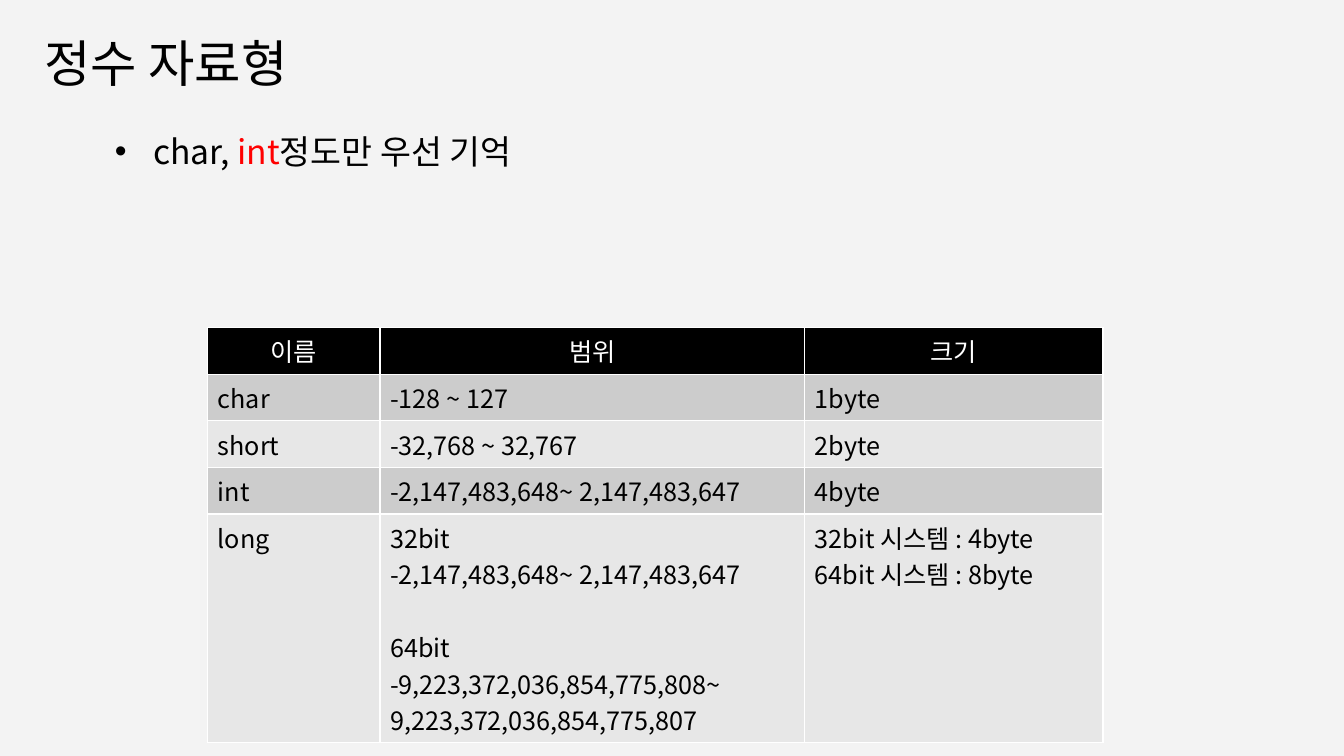
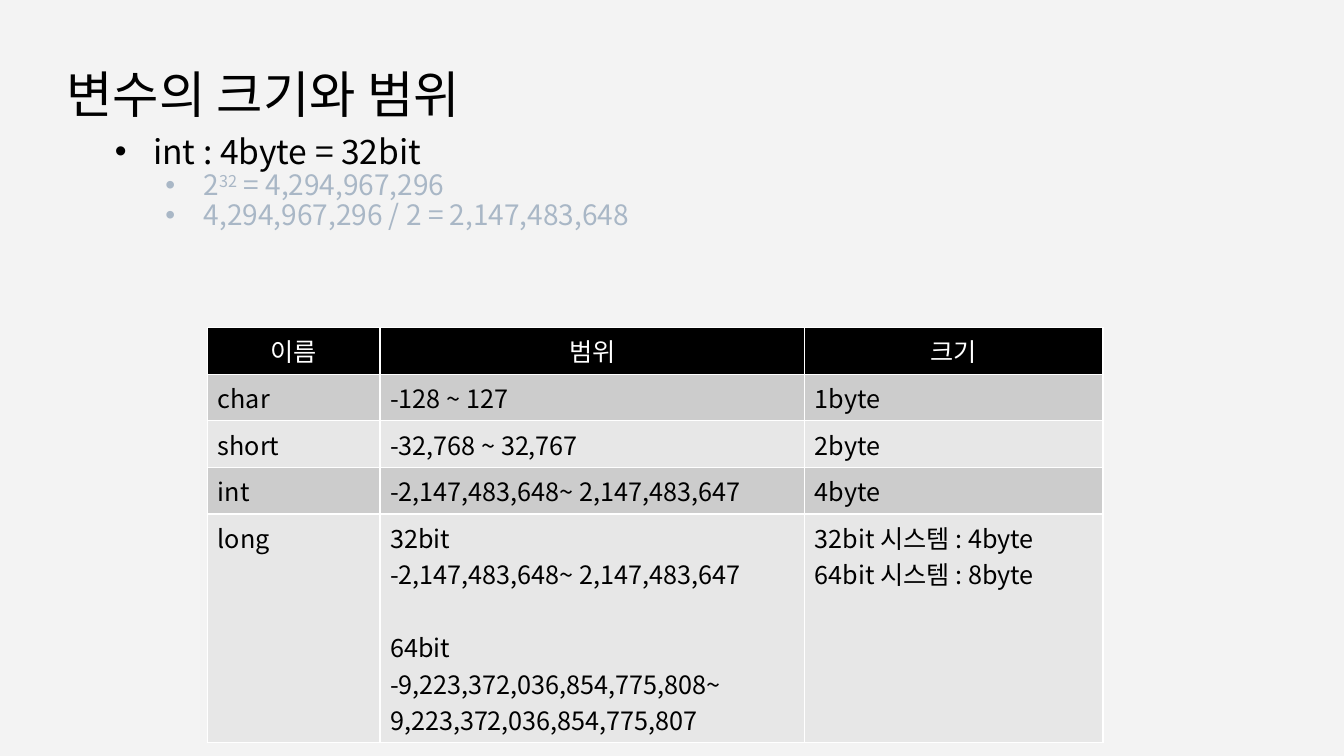
from dataclasses import dataclass

import pptx
import pptx.dml.color
import pptx.enum.text
import pptx.oxml
import pptx.oxml.ns
import pptx.util
from pptx.util import Inches

ALIGN = pptx.enum.text.PP_ALIGN
ANCHOR = pptx.enum.text.MSO_ANCHOR


@dataclass(frozen=True)
class Theme:
    font: str = "Noto Sans CJK KR"
    background: str = "F3F3F3"
    ink: str = "000000"
    accent: str = "FF0000"
    muted: str = "A9B7C6"
    white: str = "FFFFFF"
    bands: tuple = ("CCCCCC", "E7E7E7")
    title_size: int = 36
    bullet_sizes: tuple = (24, 20)
    table_size: int = 18
    table_line: int = 26
    border: int = 1


@dataclass(frozen=True)
class Span:
    """A piece of text that departs from the format of its paragraph."""
    text: str
    color: str = ""
    superscript: bool = False


@dataclass(frozen=True)
class Bullet:
    spans: tuple
    level: int = 0


THEME = Theme()
INT_RANGE = "-2,147,483,648~ 2,147,483,647"
LONG_RANGE = "-9,223,372,036,854,775,808~\n9,223,372,036,854,775,807"
TYPE_HEADER = ("이름", "범위", "크기")
# Each cell is a list of groups, set apart by a gap; each group is a list of lines.
TYPE_ROWS = (
    ([["char"]], [["-128 ~ 127"]], [["1byte"]]),
    ([["short"]], [["-32,768 ~ 32,767"]], [["2byte"]]),
    ([["int"]], [[INT_RANGE]], [["4byte"]]),
    ([["long"]],
     [["32bit", INT_RANGE], ["64bit", LONG_RANGE]],
     [["32bit 시스템 : 4byte", "64bit 시스템 : 8byte"]]),
)
COLUMN_WIDTHS = (1.71, 4.21, 2.96)
ROW_HEIGHTS = (0.46, 0.46, 0.46, 0.46, 2.27)


def rgb(value):
    return pptx.dml.color.RGBColor.from_string(value)


def element(tag, **attributes):
    node = pptx.oxml.parse_xml(f"<a:{tag} {pptx.oxml.ns.nsdecls('a')}/>")
    for name, value in attributes.items():
        node.set(name, str(value))
    return node


def write(paragraph, *spans, size, color=THEME.ink, align=ALIGN.LEFT,
          line_spacing=1.0, before=0):
    """Fill a paragraph with strings and Spans; a newline is a line break."""
    paragraph.alignment = align
    paragraph.line_spacing = line_spacing
    paragraph.space_before = pptx.util.Pt(before)
    for span in spans:
        if isinstance(span, str):
            span = Span(span)
        for number, line in enumerate(span.text.split("\n")):
            if number:
                paragraph.add_line_break()
            run = paragraph.add_run()
            run.text = line
            run.font.size = pptx.util.Pt(size)
            run.font.bold = False
            run.font.color.rgb = rgb(span.color or color)
            run.font.name = THEME.font
            properties = run.font._element
            properties.append(element("ea", typeface=THEME.font))
            if span.superscript:
                properties.set("baseline", "30000")


def place(placeholder, left, top, width, height, anchor):
    placeholder.left, placeholder.top = Inches(left), Inches(top)
    placeholder.width, placeholder.height = Inches(width), Inches(height)
    frame = placeholder.text_frame
    frame.word_wrap = True
    frame.auto_size = pptx.enum.text.MSO_AUTO_SIZE.NONE
    frame.vertical_anchor = anchor
    return frame


def next_paragraph(frame, index):
    return frame.add_paragraph() if index else frame.paragraphs[0]


def add_title(slide, text, left, top):
    frame = place(slide.shapes.title, left, top, 12.64, 1.11, ANCHOR.BOTTOM)
    write(frame.paragraphs[0], text, size=THEME.title_size, line_spacing=0.9)


def add_bullets(slide, bullets):
    frame = place(slide.placeholders[1], 1.04, 1.29, 11.68, 4.15, ANCHOR.TOP)
    for index, bullet in enumerate(bullets):
        paragraph = next_paragraph(frame, index)
        paragraph.level = bullet.level
        write(paragraph, *bullet.spans, size=THEME.bullet_sizes[bullet.level],
              color=THEME.muted if bullet.level else THEME.ink, line_spacing=0.9)
        properties = paragraph._p.get_or_add_pPr()
        properties.set("marL", str(Inches(0.38 + 0.5 * bullet.level)))
        properties.set("indent", str(Inches(-0.38)))
        properties.append(element("buFont", typeface="Arial"))
        properties.append(element("buChar", char="•"))


def style_cell(cell, fill):
    properties = cell._tc.get_or_add_tcPr()
    for side in ("lnL", "lnR", "lnT", "lnB"):
        border = element(side, w=pptx.util.Pt(THEME.border))
        paint = element("solidFill")
        paint.append(element("srgbClr", val=THEME.white))
        border.append(paint)
        properties.append(border)
    cell.fill.solid()
    cell.fill.fore_color.rgb = rgb(fill)


def fill_cell(cell, groups):
    lines = [(line, group > 0 and number == 0)
             for group, texts in enumerate(groups)
             for number, line in enumerate(texts)]
    for index, (line, starts_group) in enumerate(lines):
        write(next_paragraph(cell.text_frame, index), line, size=THEME.table_size,
              before=THEME.table_line if starts_group else 0)


def add_type_table(slide):
    table = slide.shapes.add_table(
        len(ROW_HEIGHTS), len(COLUMN_WIDTHS), Inches(2.06), Inches(3.25),
        Inches(sum(COLUMN_WIDTHS)), Inches(sum(ROW_HEIGHTS))).table
    table.horz_banding = False
    for column, width in zip(table.columns, COLUMN_WIDTHS):
        column.width = Inches(width)
    for row, height in zip(table.rows, ROW_HEIGHTS):
        row.height = Inches(height)
    for column, heading in enumerate(TYPE_HEADER):
        cell = table.cell(0, column)
        style_cell(cell, THEME.ink)
        write(cell.text_frame.paragraphs[0], heading, size=THEME.table_size,
              color=THEME.white, align=ALIGN.CENTER)
    for row, contents in enumerate(TYPE_ROWS):
        for column, groups in enumerate(contents):
            cell = table.cell(row + 1, column)
            style_cell(cell, THEME.bands[row % 2])
            fill_cell(cell, groups)


def add_type_slide(deck, title, title_left, title_top, bullets):
    slide = deck.slides.add_slide(deck.slide_layouts[0])
    add_title(slide, title, title_left, title_top)
    add_bullets(slide, bullets)
    add_type_table(slide)


def main():
    deck = pptx.Presentation()
    deck.slide_width, deck.slide_height = Inches(13.33), Inches(7.5)
    background = deck.slide_master.background.fill
    background.solid()
    background.fore_color.rgb = rgb(THEME.background)

    add_type_slide(deck, "정수 자료형", 0.34, -0.13, [
        Bullet(("char, ", Span("int", color=THEME.accent), "정도만 우선 기억")),
    ])
    add_type_slide(deck, "변수의 크기와 범위", 0.56, 0.17, [
        Bullet(("int : 4byte = 32bit",)),
        Bullet(("2", Span("32", superscript=True), " = 4,294,967,296"), level=1),
        Bullet(("4,294,967,296 / 2 = 2,147,483,648",), level=1),
    ])
    deck.save("out.pptx")


if __name__ == "__main__":
    main()
